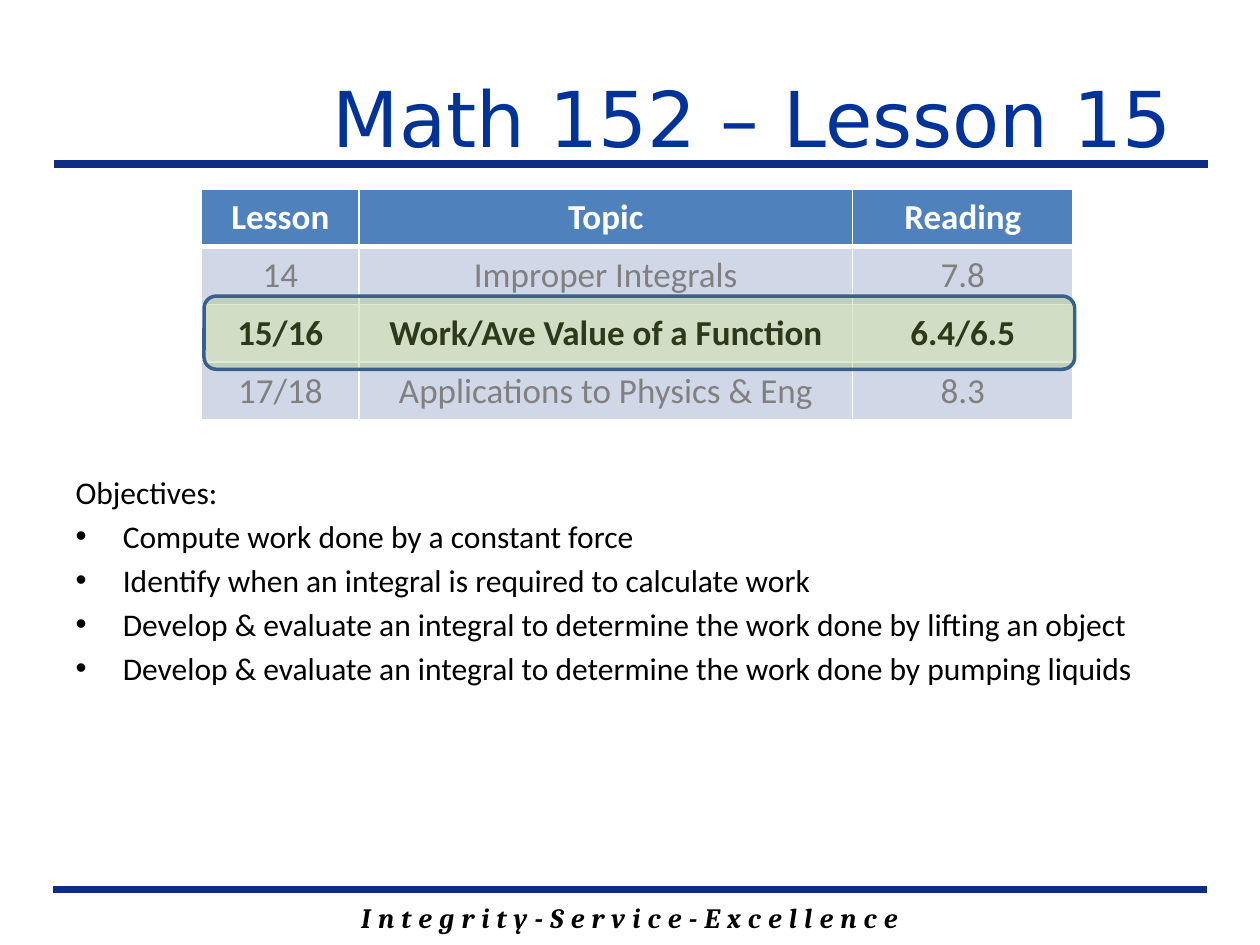
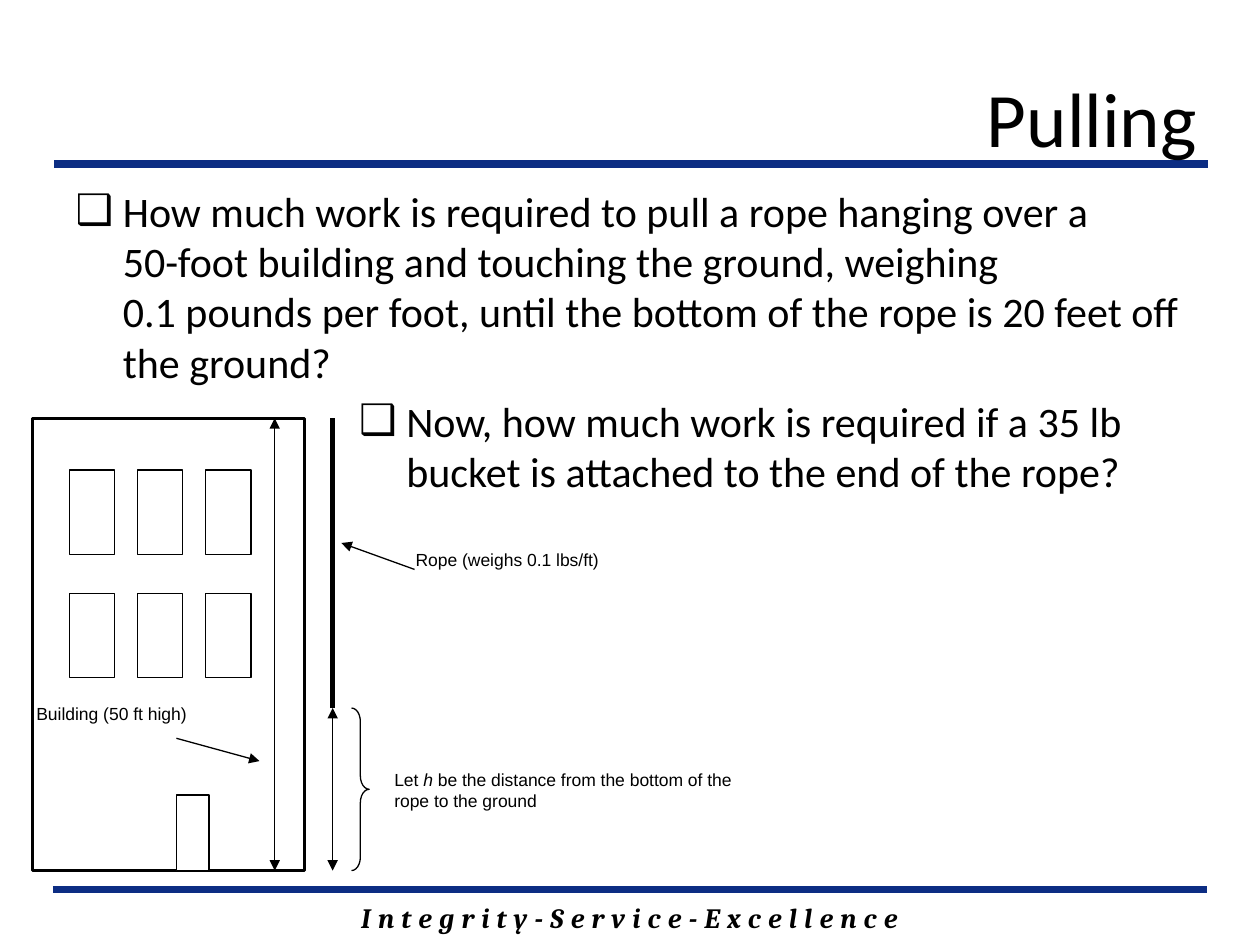
"""Build two lesson slides about work done by pulling a rope."""
from dataclasses import dataclass

from lxml.etree import SubElement
from pptx import Presentation
from pptx.dml.color import RGBColor
from pptx.enum.shapes import MSO_CONNECTOR as Connector, MSO_SHAPE as Preset
from pptx.enum.text import MSO_ANCHOR as Anchor, MSO_AUTO_SIZE as AutoSize, PP_ALIGN as Align
from pptx.oxml.ns import qn
from pptx.util import Pt


@dataclass(frozen=True)
class Theme:
    black: str = "000000"
    white: str = "FFFFFF"
    navy: str = "0C2D83"
    title_blue: str = "003399"
    header_blue: str = "4F81BD"
    band_dark: str = "D0D8E8"
    band_light: str = "E9EDF4"
    muted: str = "808080"
    highlight: str = "9BBB59"
    highlight_edge: str = "3A5F8C"
    body_font: str = "Calibri"
    title_font: str = "DejaVu Sans"
    note_font: str = "Arial"
    motto_font: str = "Cambria"
    title_size: int = 44
    question_size: int = 24
    table_size: int = 20
    list_size: int = 18
    motto_size: int = 16
    note_size: int = 10


def write(paragraph, text, font, size, color, bold=False, italic=False, align=None, spacing=0):
    if align is not None:
        paragraph.alignment = align
    for number, line in enumerate(text.split("\n")):
        if number:
            paragraph.add_line_break()
        run = paragraph.add_run()
        run.text = line
        run.font.name, run.font.size = font, Pt(size)
        run.font.bold, run.font.italic = bold, italic
        run.font.color.rgb = RGBColor.from_string(color)
        if spacing:
            run.font._element.set("spc", str(spacing))


def place(shape, left, top, width, height):
    shape.left, shape.top, shape.width, shape.height = map(Pt, (left, top, width, height))


def set_bullet(paragraph, bullet, indent, hang):
    properties = paragraph._p.get_or_add_pPr()
    properties.set("marL", str(Pt(indent)))
    properties.set("indent", str(Pt(-hang)))
    if bullet:
        SubElement(properties, qn("a:buChar")).set("char", bullet)
    else:
        SubElement(properties, qn("a:buNone"))


def set_border(cell, side, width, color):
    line = SubElement(cell._tc.get_or_add_tcPr(), qn(f"a:ln{side}"), w=str(Pt(width)))
    SubElement(SubElement(line, qn("a:solidFill")), qn("a:srgbClr"), val=color)


class Deck:
    def __init__(self, theme):
        self.theme = theme
        self.presentation = Presentation()
        self.presentation.slide_width, self.presentation.slide_height = Pt(720), Pt(540)
        self.slide = None

    def start_slide(self, title, font, color):
        theme = self.theme
        self.slide = self.presentation.slides.add_slide(self.presentation.slide_layouts[1])
        self.text([("I n t e g r i t y - S e r v i c e - E x c e l l e n c e", True)],
                  102.2, 511.2, 516.2, 26.6, font=theme.motto_font, size=theme.motto_size,
                  bold=True, align=Align.CENTER, spacing=30)
        self.line((30.2, 508.3), (689.8, 508.3), theme.navy, 4.5)
        self.line((31, 93.6), (690.5, 93.6), theme.navy, 4.5)
        for placeholder in self.slide.placeholders:
            self.slide.shapes.element.append(placeholder.element)
        heading = self.slide.shapes.title
        place(heading, 129.6, 21.6, 561.6, 90)
        heading.text_frame.auto_size = AutoSize.NONE
        heading.text_frame.vertical_anchor = Anchor.MIDDLE
        write(heading.text_frame.paragraphs[0], title, font, theme.title_size, color,
              align=Align.RIGHT)

    def body(self, items, top, height, size):
        body = self.slide.placeholders[1]
        place(body, 36, top, 648, height)
        frame = body.text_frame
        frame.auto_size = AutoSize.NONE
        for number, (text, bullet, indent, hang) in enumerate(items):
            paragraph = frame.add_paragraph() if number else frame.paragraphs[0]
            set_bullet(paragraph, bullet, indent, hang)
            write(paragraph, text, self.theme.body_font, size, self.theme.black)

    def text(self, runs, left, top, width, height, **style):
        box = self.slide.shapes.add_textbox(*map(Pt, (left, top, width, height)))
        box.text_frame.word_wrap = True
        for text, italic in runs:
            write(box.text_frame.paragraphs[0], text, color=self.theme.black, italic=italic, **style)

    def note(self, runs, left, top, width, height):
        self.text(runs, left, top, width, height,
                  font=self.theme.note_font, size=self.theme.note_size)

    def line(self, start, end, color, width, heads=()):
        line = self.slide.shapes.add_connector(Connector.STRAIGHT, *map(Pt, (*start, *end)))
        line.line.color.rgb = RGBColor.from_string(color)
        line.line.width = Pt(width)
        for head in heads:
            SubElement(line.line._get_or_add_ln(), qn(f"a:{head}"), type="triangle")
        SubElement(line._element.spPr, qn("a:effectLst"))

    def shape(self, preset, left, top, width, height, fill, edge, weight, opacity=100):
        shape = self.slide.shapes.add_shape(preset, *map(Pt, (left, top, width, height)))
        shape.shadow.inherit = False
        if fill:
            shape.fill.solid()
            shape.fill.fore_color.rgb = RGBColor.from_string(fill)
            if opacity < 100:
                color = shape._element.spPr.find(qn("a:solidFill")).find(qn("a:srgbClr"))
                SubElement(color, qn("a:alpha"), val=str(opacity * 1000))
        else:
            shape.fill.background()
        shape.line.color.rgb = RGBColor.from_string(edge)
        shape.line.width = Pt(weight)
        return shape

    def table(self, rows, styles, left, top, column_widths, row_height):
        theme = self.theme
        table = self.slide.shapes.add_table(
            len(rows), len(column_widths), Pt(left), Pt(top),
            Pt(sum(column_widths)), Pt(row_height * len(rows))).table
        for column, width in zip(table.columns, column_widths):
            column.width = Pt(width)
        for row_number, (row, (fill, color, bold)) in enumerate(zip(rows, styles)):
            for column_number, text in enumerate(row):
                cell = table.cell(row_number, column_number)
                for side in "LRTB":
                    under_header = (row_number, side) in ((0, "B"), (1, "T"))
                    set_border(cell, side, 3 if under_header else 1, theme.white)
                cell.fill.solid()
                cell.fill.fore_color.rgb = RGBColor.from_string(fill)
                cell.vertical_anchor = Anchor.MIDDLE
                write(cell.text_frame.paragraphs[0], text, theme.body_font, theme.table_size,
                      color, bold=bold, align=Align.CENTER)


def build_lesson_slide(deck):
    theme = deck.theme
    deck.start_slide("Math 152 – Lesson 15 ", theme.title_font, theme.title_blue)
    objectives = (
        "Compute work done by a constant force",
        "Identify when an integral is required to calculate work",
        "Develop & evaluate an integral to determine the work done by lifting an object",
        "Develop & evaluate an integral to determine the work done by pumping liquids",
    )
    deck.body([("Objectives:", None, 0, 0)] + [(text, "•", 27, 27) for text in objectives],
              266.4, 216, theme.list_size)
    lessons = (
        ("Lesson", "Topic", "Reading"),
        ("14", "Improper Integrals", "7.8"),
        ("15/16", "Work/Ave Value of a Function", "6.4/6.5"),
        ("17/18", "Applications to Physics & Eng", "8.3"),
    )
    other_lesson = (theme.band_dark, theme.muted, False)
    styles = ((theme.header_blue, theme.white, True), other_lesson,
              (theme.band_light, theme.black, True), other_lesson)
    deck.table(lessons, styles, 115.2, 108, (90, 282, 126), 33)
    deck.shape(Preset.ROUNDED_RECTANGLE, 116.6, 169.2, 497.5, 41.8,
               theme.highlight, theme.highlight_edge, 2, opacity=30)


def build_rope_slide(deck):
    theme = deck.theme
    both_ends = ("headEnd", "tailEnd")
    roof, rope_end, ground, rope_x = 239, 404.6, 497.5, 190.1
    deck.start_slide("Pulling", theme.body_font, theme.black)
    deck.body([
        ("How much work is required to pull a rope hanging over a\n"
         "50-foot building and touching the ground, weighing\n"
         "0.1 pounds per foot, until the bottom of the rope is 20 feet off the ground?",
         "❑", 27, 27),
        ("Now, how much work is required if a 35 lb bucket is attached to the end of the rope?",
         "❑", 189, 27),
    ], 102.2, 380.2, theme.question_size)

    deck.shape(Preset.RECTANGLE, 18.7, roof, 155.5, ground - roof, theme.white, theme.black, 1.5)
    for row in range(2):
        for column in range(3):
            deck.shape(Preset.RECTANGLE, 39.6 + 38.9 * column, 268.6 + 70.6 * row, 26, 48.2,
                       theme.white, theme.black, 0.75)
    deck.shape(Preset.RECTANGLE, 100.8, 454.3, 18.7, ground - 454.3,
               theme.white, theme.black, 0.75)

    deck.line((rope_x, roof), (rope_x, rope_end), theme.black, 3)
    for start, end, heads in (
        ((rope_x, rope_end), (rope_x, ground), both_ends),
        ((157, roof), (157, ground), both_ends),
        ((236.9, 325.4), (195.1, 310.3), ("tailEnd",)),
        ((100.8, 421.9), (148.3, 434.9), ("tailEnd",)),
    ):
        deck.line(start, end, theme.black, 0.75, heads)
    brace = deck.shape(Preset.RIGHT_BRACE, 200.9, rope_end, 10.1, ground - rope_end,
                       None, theme.black, 0)
    brace.adjustments[0] = 0.76

    deck.note([("Building (50 ft high)", False)], 13.7, 398.2, 144.7, 36)
    deck.note([("Rope (weighs 0.1 lbs/ft)", False)], 230.4, 310.3, 222.5, 35.3)
    deck.note([("Let ", False), ("h", True),
               (" be the distance from the bottom of the rope to the ground", False)],
              218.2, 435.6, 216.7, 68.4)


def main():
    deck = Deck(Theme())
    build_lesson_slide(deck)
    build_rope_slide(deck)
    deck.presentation.save("out.pptx")


if __name__ == "__main__":
    main()
